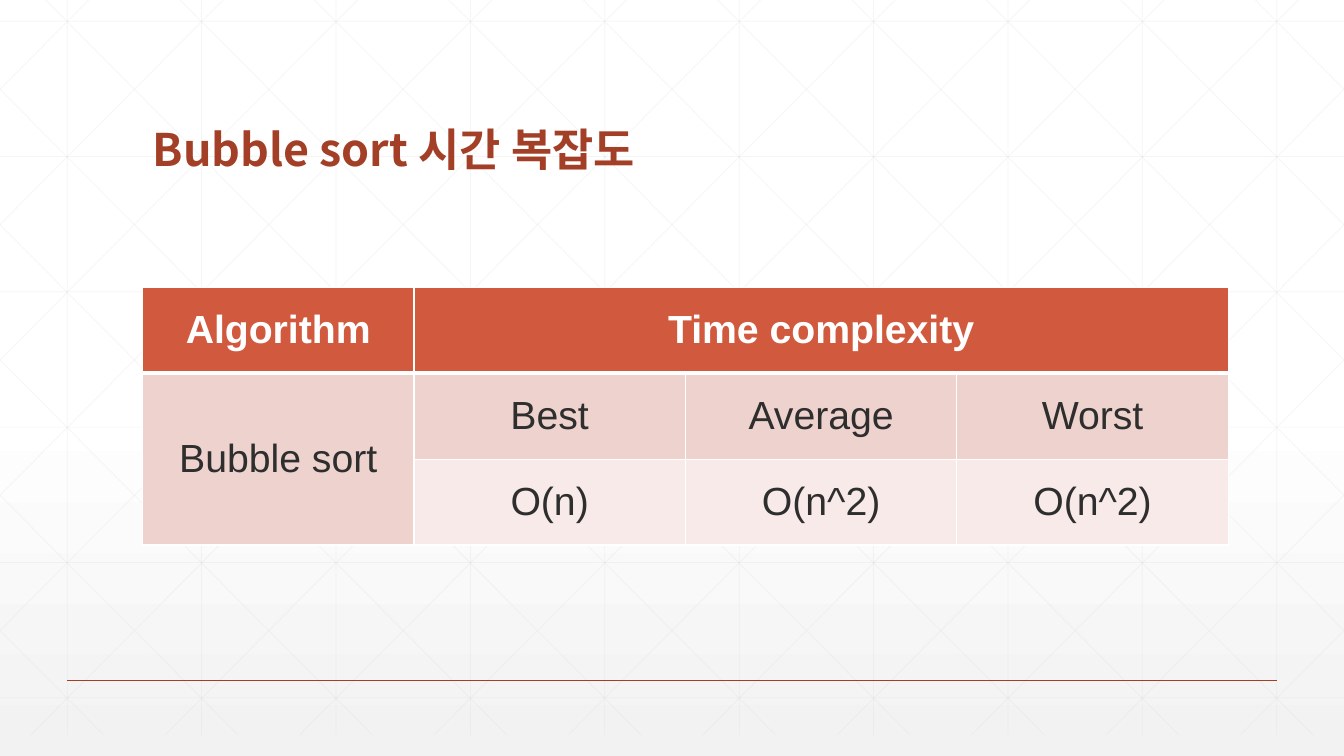
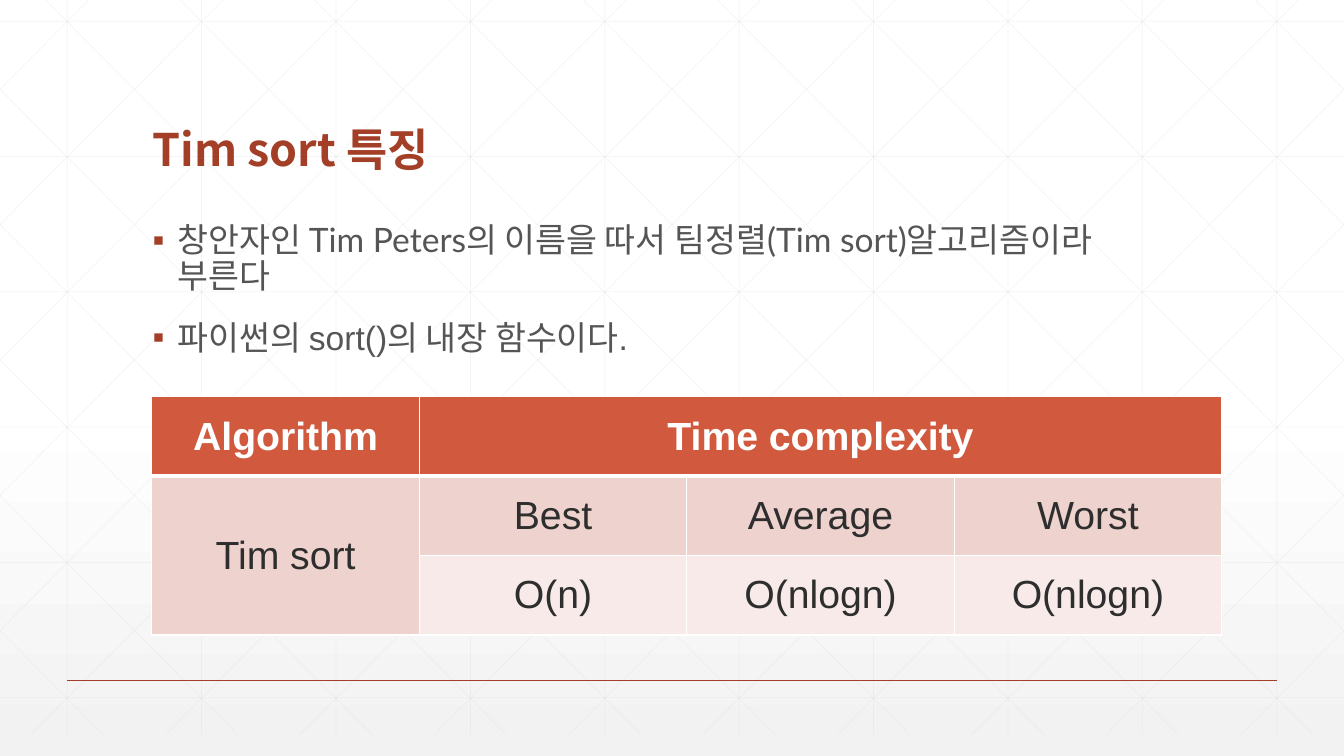
from dataclasses import dataclass

from lxml import etree
from pptx import Presentation
from pptx.dml.color import RGBColor
from pptx.enum.shapes import MSO_CONNECTOR
from pptx.enum.text import MSO_ANCHOR, MSO_AUTO_SIZE, PP_ALIGN
from pptx.oxml.ns import qn
from pptx.util import Emu, Inches, Pt

STRAIGHT = MSO_CONNECTOR.STRAIGHT
LEFT, CENTER = PP_ALIGN.LEFT, PP_ALIGN.CENTER
BOTTOM, MIDDLE, TOP = MSO_ANCHOR.BOTTOM, MSO_ANCHOR.MIDDLE, MSO_ANCHOR.TOP
NO_AUTOFIT = MSO_AUTO_SIZE.NONE

SLIDE_WIDTH, SLIDE_HEIGHT = Inches(13.333), Inches(7.5)
GRID_COLUMNS, GRID_ROWS = 10, 10
LATTICE_BOTTOM = 9.72
DIAGONAL_START, DIAGONAL_RUN = 0.34, 5.43
HORIZONTAL_START, HORIZONTAL_STEP = 0.28, 1.79
FIRST_MASTER_LINE_ID = 100

WHITE, PALE_GRAY, LATTICE_GRAY = "FFFFFF", "F2F2F2", "D9D9D9"
BRICK, ORANGE = "A43F27", "D15A3E"
PINK, PALE_PINK = "EED2CE", "F7EAE8"
BODY_GRAY, CELL_GRAY = "555555", "2D2E2D"
KOREAN_FONT, LATIN_FONT, TABLE_FONT = "Noto Sans CJK KR", "Lato", "Arial"
TITLE_LAYOUT, LIST_LAYOUT = 5, 1


@dataclass(frozen=True)
class Area:
    column: float
    row: float
    columns: float
    rows: float


@dataclass(frozen=True)
class Segment:
    start_column: float
    start_row: float
    end_column: float
    end_row: float


@dataclass(frozen=True)
class Bullet:
    text: str
    font: str


@dataclass(frozen=True)
class SortSlide:
    title: str
    algorithm: str
    complexities: tuple[str, str, str]
    table_area: Area
    bullets: tuple[Bullet, ...] = ()


TITLE_AREA = Area(1.06, 0.73, 7.88, 1.67)
LIST_AREA = Area(1.06, 2.89, 7.88, 5.56)
FOOTER_RULE = Segment(0.5, 9, 9.5, 9)

SORT_SLIDES = (
    SortSlide(
        "Bubble sort 시간 복잡도",
        "Bubble sort",
        ("O(n)", "O(n^2)", "O(n^2)"),
        Area(1.06, 3.8, 8.08, 3.41),
    ),
    SortSlide(
        "Tim sort 특징",
        "Tim sort",
        ("O(n)", "O(nlogn)", "O(nlogn)"),
        Area(1.13, 5.25, 7.96, 3.15),
        (
            Bullet("창안자인 Tim Peters의 이름을 따서 팀정렬(Tim sort)알고리즘이라 부른다", LATIN_FONT),
            Bullet("파이썬의 sort()의 내장 함수이다.", TABLE_FONT),
        ),
    ),
)


def across(columns: float) -> Emu:
    return Emu(round(SLIDE_WIDTH * columns / GRID_COLUMNS))


def down(rows: float) -> Emu:
    return Emu(round(SLIDE_HEIGHT * rows / GRID_ROWS))


def bounds(area: Area) -> tuple[Emu, Emu, Emu, Emu]:
    return across(area.column), down(area.row), across(area.columns), down(area.rows)


def color(value: str) -> RGBColor:
    return RGBColor.from_string(value)


def style_font(paragraph, name: str, size: float, value: str, bold: bool = False) -> None:
    font = paragraph.font
    font.name, font.size, font.bold = name, Pt(size), bold
    font.color.rgb = color(value)
    latin = paragraph._p.pPr.find(qn("a:defRPr")).find(qn("a:latin"))
    east_asian = etree.Element(qn("a:ea"), typeface=KOREAN_FONT)
    latin.addnext(east_asian)


def set_background(master) -> None:
    fill = master.background.fill
    fill.gradient()
    fill.gradient_angle = 270
    for stop, position, value in zip(fill.gradient_stops, (0.53, 1), (WHITE, PALE_GRAY)):
        stop.position = position
        stop.color.rgb = color(value)


def add_line(slide, segment: Segment, value: str, width: float, opacity: int = 100):
    connector = slide.shapes.add_connector(
        STRAIGHT,
        across(segment.start_column),
        down(segment.start_row),
        across(segment.end_column),
        down(segment.end_row),
    )
    connector.line.color.rgb = color(value)
    connector.line.width = Pt(width)
    properties = connector.element.spPr
    if opacity < 100:
        line_color = next(properties.iter(qn("a:srgbClr")))
        etree.SubElement(line_color, qn("a:alpha"), val=str(opacity * 1000))
    etree.SubElement(properties, qn("a:effectLst"))
    return connector


def diagonal(start: float) -> Segment:
    rows_per_column = LATTICE_BOTTOM / DIAGONAL_RUN
    first = max(start, 0)
    last = min(start + DIAGONAL_RUN, GRID_COLUMNS)
    return Segment(first, (first - start) * rows_per_column, last, (last - start) * rows_per_column)


def mirrored(segment: Segment) -> Segment:
    return Segment(
        GRID_COLUMNS - segment.start_column,
        segment.start_row,
        GRID_COLUMNS - segment.end_column,
        segment.end_row,
    )


def lattice() -> list[Segment]:
    verticals = [Segment(i + 0.5, 0, i + 0.5, LATTICE_BOTTOM) for i in range(GRID_COLUMNS)]
    levels = [HORIZONTAL_START + HORIZONTAL_STEP * i for i in range(6)]
    horizontals = [Segment(0, level, GRID_COLUMNS, level) for level in levels]
    diagonals = [diagonal(DIAGONAL_START + i) for i in range(-5, GRID_COLUMNS)]
    return verticals + horizontals + diagonals + [mirrored(segment) for segment in diagonals]


def decorate_master(master, slide) -> None:
    set_background(master)
    lines = [add_line(slide, segment, LATTICE_GRAY, 0.5, 25) for segment in lattice()]
    lines.append(add_line(slide, FOOTER_RULE, BRICK, 1))
    for number, line in enumerate(lines, FIRST_MASTER_LINE_ID):
        line.element.nvCxnSpPr.cNvPr.id = number
        master.element.cSld.spTree.append(line.element)


def place_text(shape, area: Area, anchor):
    shape.left, shape.top, shape.width, shape.height = bounds(area)
    frame = shape.text_frame
    frame.word_wrap = True
    frame.auto_size = NO_AUTOFIT
    frame.vertical_anchor = anchor
    return frame


def fill_title(slide, text: str) -> None:
    frame = place_text(slide.shapes.title, TITLE_AREA, BOTTOM)
    frame.text = text
    paragraph = frame.paragraphs[0]
    paragraph.alignment = LEFT
    paragraph.line_spacing = 0.9
    style_font(paragraph, KOREAN_FONT, 32, BRICK, True)


def add_bullet_mark(paragraph) -> None:
    properties = paragraph._p.get_or_add_pPr()
    properties.set("marL", str(Inches(0.25)))
    properties.set("indent", str(-Inches(0.25)))
    bullet_color = etree.SubElement(properties, qn("a:buClr"))
    etree.SubElement(bullet_color, qn("a:srgbClr"), val=BRICK)
    etree.SubElement(properties, qn("a:buFont"), typeface=TABLE_FONT)
    etree.SubElement(properties, qn("a:buChar"), char="▪")


def fill_list(slide, bullets: tuple[Bullet, ...]) -> None:
    frame = place_text(slide.placeholders[1], LIST_AREA, TOP)
    frame.text = "\n".join(bullet.text for bullet in bullets)
    for index, (paragraph, bullet) in enumerate(zip(frame.paragraphs, bullets)):
        paragraph.line_spacing = 0.9
        paragraph.space_before = Pt(18 if index else 0)
        add_bullet_mark(paragraph)
        style_font(paragraph, bullet.font, 24, BODY_GRAY)


def set_borders(cell, top: float, bottom: float) -> None:
    properties = cell._tc.get_or_add_tcPr()
    widths = (("a:lnL", 1), ("a:lnR", 1), ("a:lnT", top), ("a:lnB", bottom))
    for index, (tag, width) in enumerate(widths):
        border = etree.Element(qn(tag), w=str(Pt(width)))
        fill = etree.SubElement(border, qn("a:solidFill"))
        etree.SubElement(fill, qn("a:srgbClr"), val=WHITE)
        properties.insert(index, border)


def add_complexity_table(slide, content: SortSlide) -> None:
    rows = (
        ("Algorithm", "Time complexity", "", ""),
        (content.algorithm, "Best", "Average", "Worst"),
        ("", *content.complexities),
    )
    row_fills = (ORANGE, PINK, PALE_PINK)
    edges = ((1, 3), (3, 1), (1, 1))
    table = slide.shapes.add_table(3, 4, *bounds(content.table_area)).table
    table.horz_banding = False
    table.cell(0, 1).merge(table.cell(0, 3))
    table.cell(1, 0).merge(table.cell(2, 0))
    for row_index, texts in enumerate(rows):
        is_header = row_index == 0
        for column_index, text in enumerate(texts):
            cell = table.cell(row_index, column_index)
            cell.fill.solid()
            cell.fill.fore_color.rgb = color(row_fills[row_index])
            set_borders(cell, *edges[row_index])
            if text:
                cell.text = text
                cell.vertical_anchor = MIDDLE
                paragraph = cell.text_frame.paragraphs[0]
                paragraph.alignment = CENTER
                style_font(paragraph, TABLE_FONT, 28, WHITE if is_header else CELL_GRAY, is_header)


def add_sort_slide(presentation, content: SortSlide):
    layout = LIST_LAYOUT if content.bullets else TITLE_LAYOUT
    slide = presentation.slides.add_slide(presentation.slide_layouts[layout])
    fill_title(slide, content.title)
    if content.bullets:
        fill_list(slide, content.bullets)
    add_complexity_table(slide, content)
    return slide


def main() -> None:
    presentation = Presentation()
    presentation.slide_width, presentation.slide_height = SLIDE_WIDTH, SLIDE_HEIGHT
    slides = [add_sort_slide(presentation, content) for content in SORT_SLIDES]
    decorate_master(presentation.slide_master, slides[0])
    presentation.save("out.pptx")


if __name__ == "__main__":
    main()
